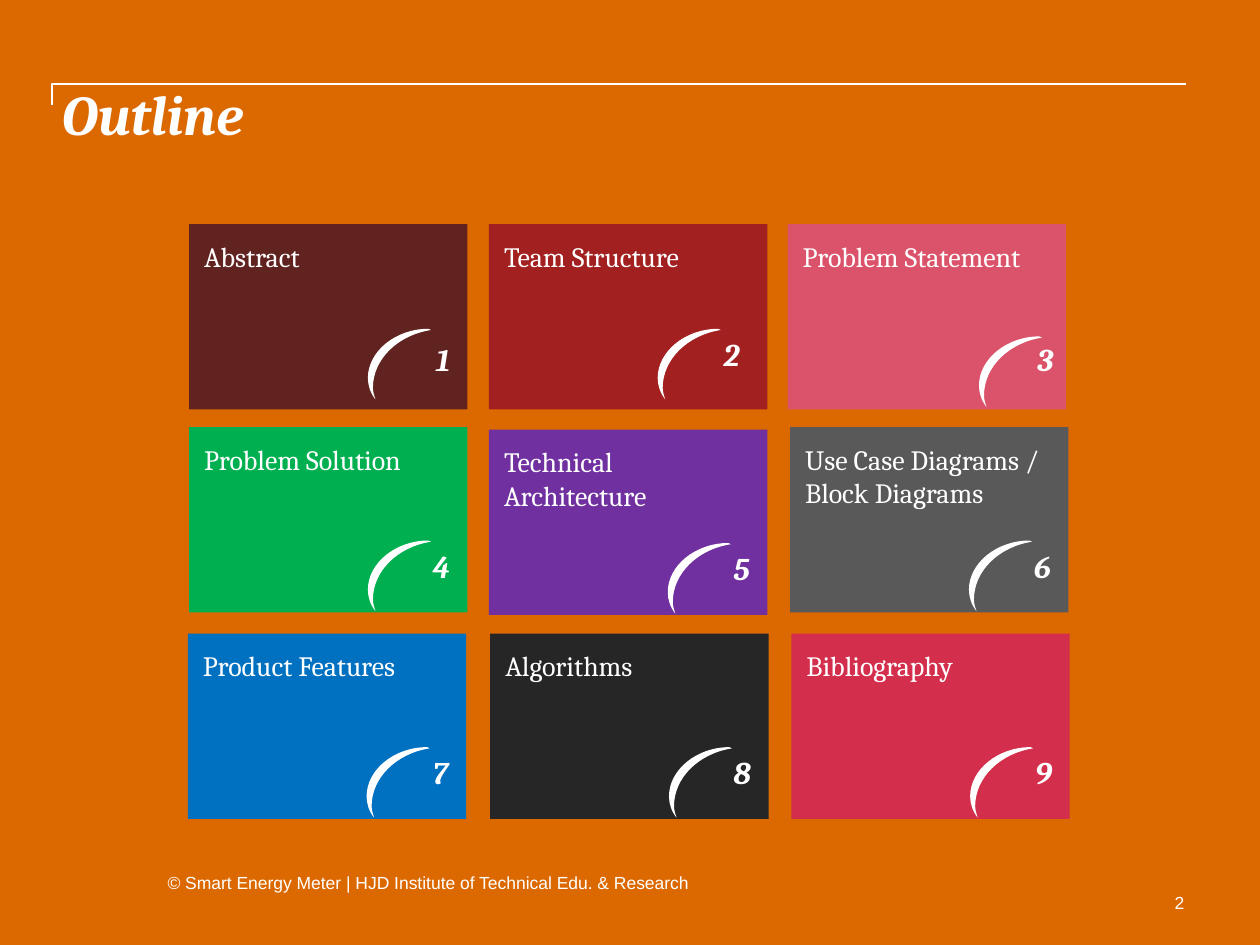
from lxml import etree
from pptx import Presentation
from pptx.dml.color import RGBColor
from pptx.enum.shapes import MSO_CONNECTOR, MSO_SHAPE
from pptx.enum.text import MSO_ANCHOR, PP_ALIGN
from pptx.oxml.ns import qn
from pptx.util import Inches, Pt

RECTANGLE = MSO_SHAPE.RECTANGLE
ELBOW = MSO_CONNECTOR.ELBOW
TOP = MSO_ANCHOR.TOP
LEFT, RIGHT = PP_ALIGN.LEFT, PP_ALIGN.RIGHT
WHITE = "FFFFFF"
CARD_WIDTH, CARD_HEIGHT = 2.21, 1.47


def paint(color_fill, color):
    color_fill.solid()
    color_fill.fore_color.rgb = RGBColor.from_string(color)


def write(shape, text, size, font, align=LEFT, strong=False, inset=0, wrap=True):
    """Put one white run at the top of a shape; strong means bold italic."""
    frame = shape.text_frame
    frame.word_wrap = wrap
    frame.vertical_anchor = TOP
    frame.margin_left = frame.margin_right = Inches(inset)
    frame.margin_top = frame.margin_bottom = Inches(inset)
    para = frame.paragraphs[0]
    para.alignment = align
    span = para.add_run()
    span.text = text
    span.font.size = Pt(size)
    span.font.name = font
    span.font.bold = span.font.italic = strong
    paint(span.font.fill, WHITE)
    return para


deck = Presentation()
deck.slide_width, deck.slide_height = Inches(10), Inches(7.5)
page = deck.slides.add_slide(deck.slide_layouts[6])
paint(page.background.fill, "DC6900")

# Rule with a short drop at its left end: a one-bend connector turned a quarter
rule = page.shapes.add_connector(ELBOW, Inches(5), Inches(5.25), Inches(4.83), Inches(-3.75))
paint(rule.line.fill, WHITE)
rule.line.width = Pt(1)
properties = rule._element.spPr
properties.find(qn("a:xfrm")).set("rot", "5400000")
properties.find(qn("a:prstGeom")).set("prst", "bentConnector2")
etree.SubElement(properties, qn("a:effectLst"))

number_box = page.shapes.add_textbox(Inches(9.23), Inches(7.08), Inches(0.17), Inches(0.17))
write(number_box, "2", 10, "Arial", RIGHT, wrap=False)

title_box = page.shapes.add_textbox(Inches(0.49), Inches(0.69), Inches(9.69), Inches(1.17))
title = write(title_box, "Outline", 32, "Cambria", strong=True)
title.line_spacing = 0.9
title.add_line_break()

# Crescent relative to its top left corner: start, one line, then cubic curves
crescent = [
    (0.48, 0), (0.5, 0.01),
    (0.24, 0.05), (0.04, 0.24), (0.04, 0.47),
    (0.04, 0.5), (0.05, 0.53), (0.06, 0.56),
    (0.02, 0.51), (0, 0.45), (0, 0.39),
    (0, 0.18), (0.22, 0), (0.48, 0),
]

# Cards: left, top, colour, label, number offset, crescent offset
usual = (0.77, 0.95), (1.42, 0.9)
cards = [
    (1.5, 1.78, "602320", "Abstract", (0.77, 0.92), (1.42, 0.83)),
    (3.88, 1.78, "A32020", "Team Structure", (0.69, 0.88), (1.34, 0.83)),
    (6.25, 1.78, "DB536A", "Problem Statement", (0.81, 0.92), (1.52, 0.89)),
    (1.5, 3.39, "00B050", "Problem Solution", *usual),
    (3.88, 3.41, "7030A0", "Technical Architecture", *usual),
    (6.27, 3.39, "595959", "Use Case Diagrams / Block Diagrams", *usual),
    (1.49, 5.03, "0070C0", "Product Features", *usual),
    (3.89, 5.03, "262626", "Algorithms", *usual),
    (6.28, 5.03, "D32E4B", "Bibliography", *usual),
]
for number, (left, top, color, label, number_at, crescent_at) in enumerate(cards, 1):
    card = page.shapes.add_shape(RECTANGLE, Inches(left), Inches(top),
                                 Inches(CARD_WIDTH), Inches(CARD_HEIGHT))
    card.shadow.inherit = False
    paint(card.fill, color)
    card.line.fill.background()
    write(card, label, 16, "Cambria", inset=0.12)

    box = page.shapes.add_textbox(Inches(left + number_at[0]), Inches(top + number_at[1]),
                                  Inches(1.3), Inches(0.57))
    write(box, str(number), 18, "Cambria", RIGHT, strong=True).space_after = Pt(10.3)

    outline = [(Inches(left + crescent_at[0] + x), Inches(top + crescent_at[1] + y))
               for x, y in crescent]
    builder = page.shapes.build_freeform(*outline[0])
    builder.add_line_segments(outline[1:], close=True)
    arc = builder.convert_to_shape()
    arc.shadow.inherit = False
    paint(arc.fill, WHITE)
    arc.line.fill.background()

    # Turn every three points after the first line into one cubic curve
    segments = list(arc._element.iter(qn("a:lnTo")))[1:]
    for first in range(0, len(crescent) - 2, 3):
        start, *others = segments[first:first + 3]
        start.tag = qn("a:cubicBezTo")
        for segment in others:
            start.append(segment[0])
            segment.getparent().remove(segment)

deck_footer = page.shapes.add_textbox(Inches(1.33), Inches(6.92), Inches(5.11), Inches(0.14))
write(deck_footer, "© Smart Energy Meter | HJD Institute of Technical Edu. & Research", 10, "Arial")

deck.save("out.pptx")
